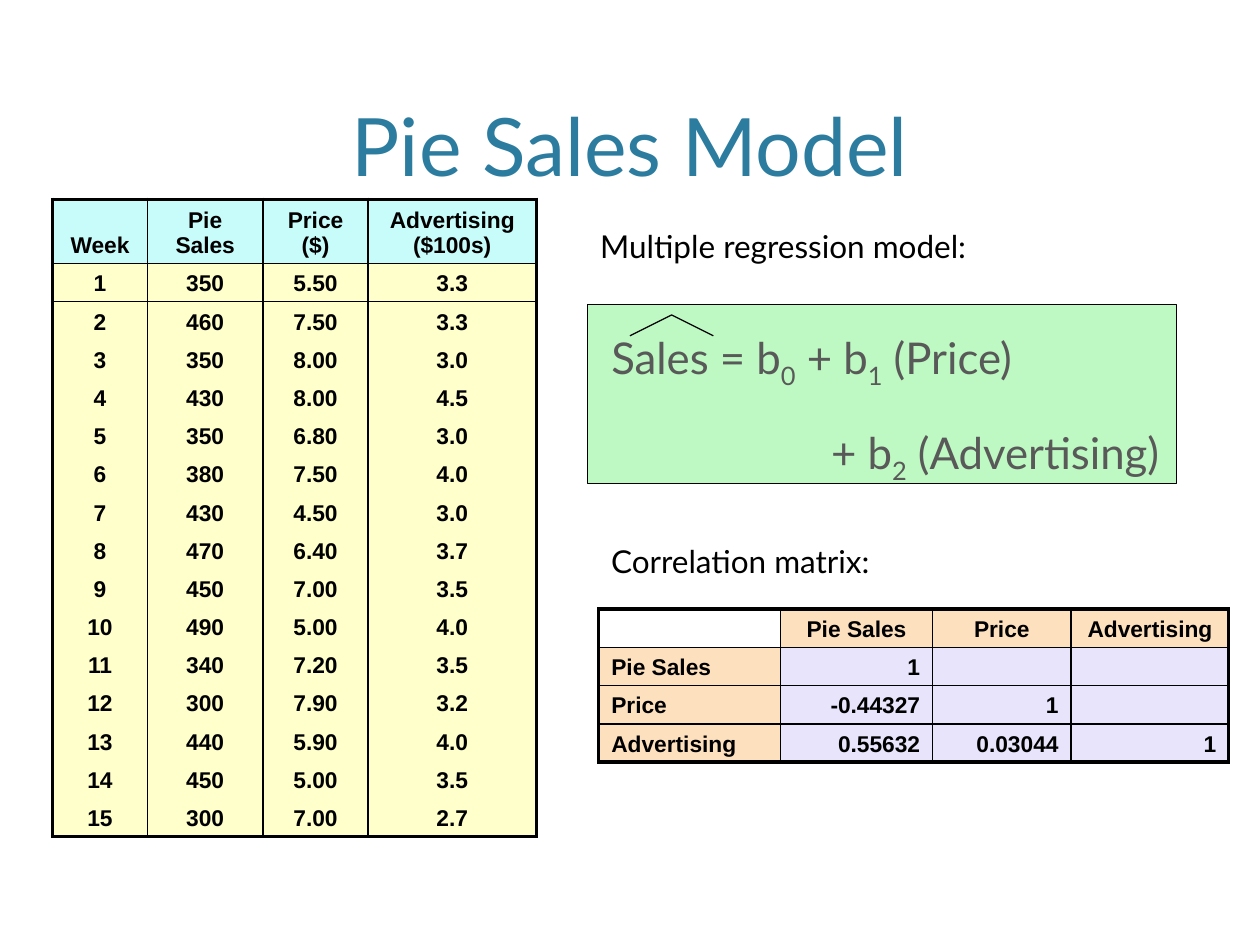
import dataclasses

import lxml.etree
import pptx
import pptx.dml.color
import pptx.enum.shapes
import pptx.enum.text
import pptx.oxml.ns
import pptx.util

Cm = pptx.util.Cm
Pt = pptx.util.Pt
RGB = pptx.dml.color.RGBColor.from_string
qn = pptx.oxml.ns.qn
ALIGN = pptx.enum.text.PP_ALIGN
ANCHOR = pptx.enum.text.MSO_ANCHOR


@dataclasses.dataclass(frozen=True)
class Theme:
    text_font: str = "Lato"
    table_font: str = "Arial"
    title_size: int = 46
    formula_size: int = 25
    label_size: int = 18
    table_size: int = 13
    title: str = "2C7C9F"
    formula: str = "595959"
    ink: str = "000000"
    formula_fill: str = "BEF8C2"
    sales_header: str = "C8FCFB"
    sales_body: str = "FFFFCC"
    matrix_header: str = "FDE0BD"
    matrix_body: str = "E7E4FC"
    outer_border: float = 2.25
    inner_border: float = 1
    thin_line: float = 0.75


theme = Theme()
NO_TABLE_STYLE = "{2D5ABB26-0587-4C30-8999-92F81FD0307C}"


def format_run(run, font, size, color, bold=False):
    run.font.name = font
    run.font.size = Pt(size)
    run.font.color.rgb = RGB(color)
    run.font.bold = bold


def add_ruled_table(left, top, widths, heights, rows, fill_of, align_of, ruled_rows):
    """Add a table with a heavy frame, column rules, and a rule under each of the first ruled_rows rows."""
    frame = slide.shapes.add_table(len(rows), len(widths), Cm(left), Cm(top),
                                   Cm(sum(widths)), Cm(sum(heights)))
    table = frame.table
    table.first_row = table.horz_banding = False
    table._tbl.tblPr.find(qn("a:tableStyleId")).text = NO_TABLE_STYLE
    for column, width in zip(table.columns, widths):
        column.width = Cm(width)
    for table_row, height in zip(table.rows, heights):
        table_row.height = Cm(height)

    last_row, last_column = len(rows) - 1, len(widths) - 1
    for row, values in enumerate(rows):
        for column, value in enumerate(values):
            cell = table.cell(row, column)
            cell.vertical_anchor = ANCHOR.BOTTOM
            cell.margin_top = cell.margin_bottom = Cm(0.1)
            cell.text_frame.text = value
            for paragraph in cell.text_frame.paragraphs:
                paragraph.alignment = align_of(row, column)
                for run in paragraph.runs:
                    format_run(run, theme.table_font, theme.table_size, theme.ink, True)
                if not value:
                    lxml.etree.SubElement(paragraph._p, qn("a:endParaRPr"),
                                          sz=str(theme.table_size * 100))
            fill = fill_of(row, column)
            if fill:
                cell.fill.solid()
                cell.fill.fore_color.rgb = RGB(fill)
            else:
                cell.fill.background()

            # (side, on the frame, has an inner rule)
            edges = [("L", column == 0, True),
                     ("R", column == last_column, True),
                     ("T", row == 0, row <= ruled_rows),
                     ("B", row == last_row, row < ruled_rows)]
            visible = [edge for edge in edges if edge[1] or edge[2]]
            properties = cell._tc.get_or_add_tcPr()
            for position, (side, on_frame, _) in enumerate(visible):
                weight = theme.outer_border if on_frame else theme.inner_border
                border = lxml.etree.Element(qn("a:ln" + side), w=str(int(Pt(weight))))
                solid = lxml.etree.SubElement(border, qn("a:solidFill"))
                lxml.etree.SubElement(solid, qn("a:srgbClr"), val=theme.ink)
                properties.insert(position, border)


presentation = pptx.Presentation()
presentation.slide_width = Cm(25.4)
presentation.slide_height = Cm(19.05)
slide = presentation.slides.add_slide(presentation.slide_layouts[1])

# Formula panel, kept behind the placeholders
panel = slide.shapes.add_shape(pptx.enum.shapes.MSO_SHAPE.RECTANGLE,
                               Cm(11.85), Cm(6.14), Cm(11.87), Cm(3.61))
panel.shadow.inherit = False
panel.fill.solid()
panel.fill.fore_color.rgb = RGB(theme.formula_fill)
panel.line.color.rgb = RGB(theme.ink)
panel.line.width = Pt(theme.thin_line)
slide.shapes._spTree.insert(2, panel._element)

# Title
title = slide.shapes.title
title.left, title.top, title.width, title.height = Cm(1.52), Cm(0.3), Cm(22.35), Cm(3.71)
title.text_frame.text = "Pie Sales Model"
title.text_frame.vertical_anchor = ANCHOR.BOTTOM
title.text_frame.auto_size = pptx.enum.text.MSO_AUTO_SIZE.NONE
title.text_frame.paragraphs[0].alignment = ALIGN.CENTER
format_run(title.text_frame.paragraphs[0].runs[0], theme.text_font, theme.title_size, theme.title)

# Formula: every second piece is a subscript
formula = slide.placeholders[1]
formula.left, formula.top, formula.width, formula.height = Cm(12.07), Cm(6.55), Cm(12.07), Cm(2.97)
formula.text_frame.auto_size = pptx.enum.text.MSO_AUTO_SIZE.NONE
formula.text_frame.text = "\n"
formula_lines = [
    (0, ["Sales = b", "0", " + b", "1", " (Price)"]),
    (4.43, ["+ b", "2", " (Advertising)"]),
]
for paragraph, (indent, pieces) in zip(formula.text_frame.paragraphs, formula_lines):
    paragraph.space_before = Pt(20)
    properties = paragraph._p.get_or_add_pPr()
    properties.set("marL", str(int(Cm(indent))))
    properties.set("indent", "0")
    lxml.etree.SubElement(properties, qn("a:buNone"))
    for position, piece in enumerate(pieces):
        run = paragraph.add_run()
        run.text = piece
        format_run(run, theme.text_font, theme.formula_size, theme.formula)
        if position % 2:
            run.font._element.set("baseline", "-25000")

# Pie sales table
sales = [350, 460, 350, 430, 350, 380, 430, 470, 450, 490, 340, 300, 440, 450, 300]
prices = [5.5, 7.5, 8, 8, 6.8, 7.5, 4.5, 6.4, 7, 5, 7.2, 7.9, 5.9, 5, 7]
advertising = [3.3, 3.3, 3, 4.5, 3, 4, 3, 3.7, 3.5, 4, 3.5, 3.2, 4, 3.5, 2.7]
sales_rows = [["Week", "Pie Sales", "Price\n($)", "Advertising\n($100s)"]]
for week, (sold, price, spent) in enumerate(zip(sales, prices, advertising), start=1):
    sales_rows.append([str(week), str(sold), f"{price:.2f}", f"{spent:.1f}"])
add_ruled_table(
    1.06, 4.02, [1.91, 2.33, 2.12, 3.39], [1.29] + [0.77] * len(sales), sales_rows,
    fill_of=lambda row, column: theme.sales_body if row else theme.sales_header,
    align_of=lambda row, column: ALIGN.CENTER,
    ruled_rows=1)

# Hat over the estimated sales
hat_builder = slide.shapes.build_freeform(Cm(12.7), Cm(6.77), scale=1.0)
hat_builder.add_line_segments([(Cm(13.54), Cm(6.35)), (Cm(14.38), Cm(6.77))], close=False)
hat = hat_builder.convert_to_shape()
hat.shadow.inherit = False
hat.fill.background()
hat.line.color.rgb = RGB(theme.ink)
hat.line.width = Pt(theme.thin_line)

# Correlation matrix
matrix_rows = [
    ["", "Pie Sales", "Price", "Advertising"],
    ["Pie Sales", "1", "", ""],
    ["Price", "-0.44327", "1", ""],
    ["Advertising", "0.55632", "0.03044", "1"],
]
add_ruled_table(
    12.07, 12.28, [3.66, 3.07, 2.79, 3.18], [0.77] * len(matrix_rows), matrix_rows,
    fill_of=lambda row, column: (theme.matrix_body if row and column
                                 else theme.matrix_header if row or column else None),
    align_of=lambda row, column: (ALIGN.CENTER if row == 0
                                  else ALIGN.RIGHT if column else ALIGN.LEFT),
    ruled_rows=len(matrix_rows))

# Labels
for text, left, top, width in [("Correlation matrix:", 12.07, 10.8, 9.53),
                               ("Multiple regression model:", 11.85, 4.45, 10.8)]:
    label = slide.shapes.add_textbox(Cm(left), Cm(top), Cm(width), Cm(1.27))
    label.text_frame.word_wrap = True
    label.text_frame.text = text
    format_run(label.text_frame.paragraphs[0].runs[0], theme.text_font, theme.label_size, theme.ink)

presentation.save("out.pptx")
